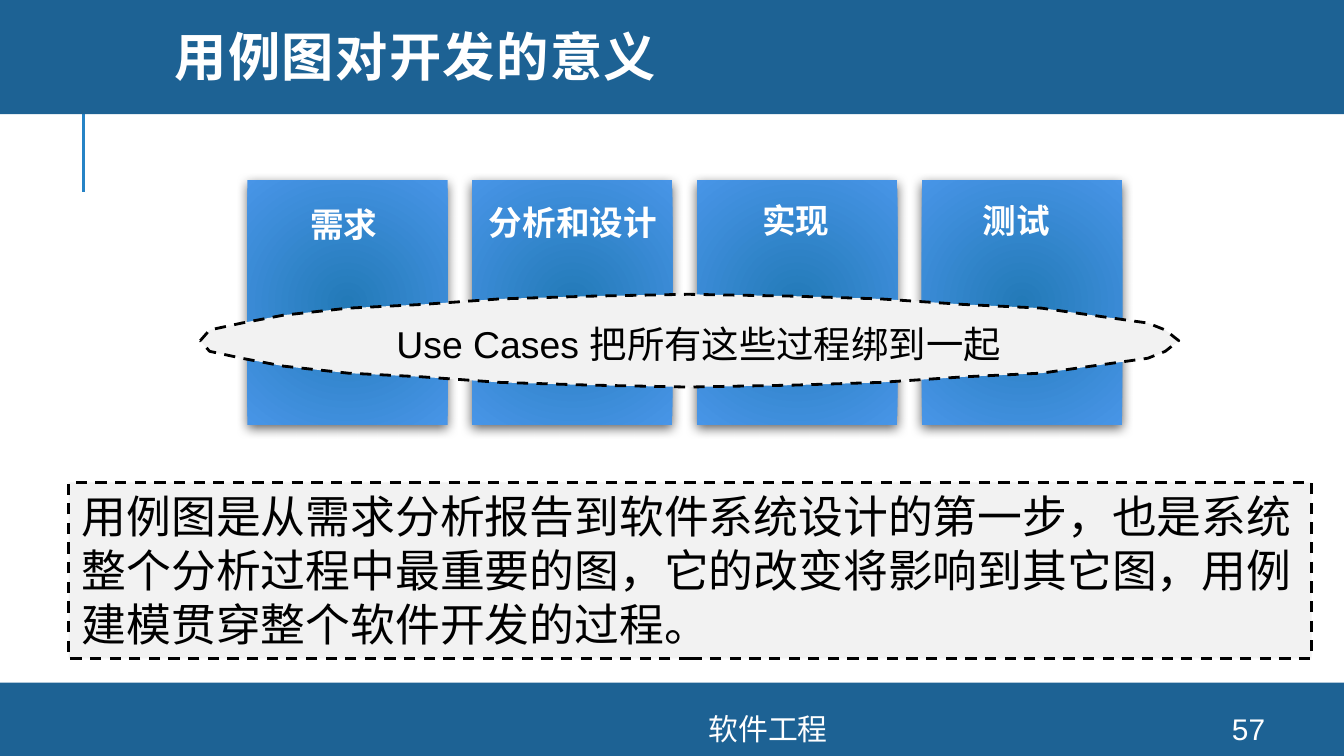
from dataclasses import dataclass

from lxml import etree
from pptx import Presentation
from pptx.dml.color import RGBColor
from pptx.enum.dml import MSO_LINE
from pptx.enum.shapes import MSO_CONNECTOR, MSO_SHAPE
from pptx.enum.text import MSO_ANCHOR, PP_ALIGN
from pptx.oxml.ns import qn
from pptx.util import Inches, Pt

RECTANGLE = MSO_SHAPE.RECTANGLE
STRAIGHT = MSO_CONNECTOR.STRAIGHT
DASH = MSO_LINE.DASH
LEFT, CENTER = PP_ALIGN.LEFT, PP_ALIGN.CENTER
TOP, MIDDLE = MSO_ANCHOR.TOP, MSO_ANCHOR.MIDDLE

NAVY = RGBColor(0x1D, 0x62, 0x94)
BLUE = RGBColor(0x26, 0x83, 0xC6)
CARD_CORE = RGBColor(0x23, 0x7A, 0xB8)
CARD_EDGE = RGBColor(0x48, 0x95, 0xE7)
GRAY = RGBColor(0xF2, 0xF2, 0xF2)
BLACK = RGBColor(0, 0, 0)
WHITE = RGBColor(0xFF, 0xFF, 0xFF)

# Label, shift and top as percent of its card
PHASES = [("需求", -1.7, 7.7), ("分析和设计", 0.3, 6.6),
          ("实现", -0.7, 6), ("测试", -3, 6)]
# Outline of the band: percent across, and percent of its half height
BAND_ACROSS = [0, 0.96, 4.26, 8.52, 15.11, 22.66, 30.63, 39.97, 49.86,
               60.58, 69.51, 78.02, 85.99, 91.07, 96.84, 98.63, 100]
BAND_RISE = [0, 23, 38, 55, 70, 78, 90, 96, 100]


@dataclass
class Box:
    left: float
    top: float
    width: float
    height: float

    def inner(self, x, y, width, height):
        """Return an inner box given in percent of this one."""
        return Box(self.left + self.width * x / 100,
                   self.top + self.height * y / 100,
                   self.width * width / 100, self.height * height / 100)

    def place(self):
        return [int(v) for v in (self.left, self.top, self.width, self.height)]


def write(shape, text, size=18, color=WHITE, bold=False, font="Arial",
          align=CENTER, anchor=TOP, inset=(0.1, 0.05), line=None, tracking=None):
    frame = shape.text_frame
    frame.word_wrap = True
    frame.vertical_anchor = anchor
    frame.margin_left = frame.margin_right = Inches(inset[0])
    frame.margin_top = frame.margin_bottom = Inches(inset[1])
    para = frame.paragraphs[0]
    para.alignment = align
    if line:
        para.line_spacing = line
    span = para.add_run()
    span.text = text
    span.font.size, span.font.bold, span.font.name = Pt(size), bold, font
    span.font.color.rgb = color
    if tracking:
        span.font._element.set("spc", str(int(tracking * 100)))


def add_text(page, box, text, **style):
    write(page.shapes.add_textbox(*box.place()), text, **style)


def add_block(page, box):
    block = page.shapes.add_shape(RECTANGLE, *box.place())
    block.shadow.inherit = False
    block.line.fill.background()
    return block


def paint(shape, color):
    shape.fill.solid()
    shape.fill.fore_color.rgb = color


def add_dashes(shape):
    paint(shape, GRAY)
    shape.line.color.rgb = BLACK
    shape.line.width = Pt(1.5)
    shape.line.dash_style = DASH


def style_card(card):
    """Radial gradient and a soft shadow below."""
    card.fill.gradient()
    for stop, color in zip(card.fill.gradient_stops, (CARD_CORE, CARD_EDGE)):
        stop.color.rgb = color
    properties = card._element.spPr
    gradient = properties.find(qn("a:gradFill"))
    gradient.remove(gradient.find(qn("a:lin")))
    circle = etree.SubElement(gradient, qn("a:path"), {"path": "circle"})
    etree.SubElement(circle, qn("a:fillToRect"),
                     {side: "100000" for side in "ltrb"})
    shadow = etree.SubElement(
        properties.find(qn("a:effectLst")), qn("a:outerShdw"),
        blurRad=str(Pt(6)), dist=str(Pt(2)), dir="5400000", rotWithShape="0")
    black = etree.SubElement(shadow, qn("a:srgbClr"), val=str(BLACK))
    etree.SubElement(black, qn("a:alpha"), val="60000")


def add_header(page, box):
    # Accent line hanging from the bar
    x = int(box.left + box.width * 0.062)
    accent = page.shapes.add_connector(
        STRAIGHT, x, int(box.height * 1.68), x, int(box.height * 0.8))
    accent.line.color.rgb = BLUE
    accent.line.width = Pt(1.5)
    etree.SubElement(accent._element.spPr, qn("a:effectLst"))
    # Bar and title
    paint(add_block(page, box), NAVY)
    add_text(page, box.inner(12, 0, 84.9, 107), "用例图对开发的意义", size=28,
             bold=True, font="Montserrat", align=LEFT, anchor=MIDDLE,
             line=0.8, tracking=0.8)


def add_footer(page, box):
    paint(add_block(page, box), NAVY)
    for text, x, width in (("软件工程", 26.1, 62.1), ("57", 88.9, 8)):
        add_text(page, box.inner(x, 42, width, 42), text, size=16, anchor=MIDDLE)


def add_phases(page, box):
    card_width = 22.89
    pitch = (100 - card_width) / (len(PHASES) - 1)
    for column, (label, shift, top) in enumerate(PHASES):
        card = box.inner(column * pitch, 0, card_width, 100)
        style_card(add_block(page, card))
        add_text(page, card.inner(shift - 8.7, top, 117.4, 20), label,
                 bold=True, inset=(0.07, 0.04))


def add_band(page, box):
    rises = BAND_RISE + BAND_RISE[-2::-1]
    upper = [(x, 50 - rise / 2) for x, rise in zip(BAND_ACROSS, rises)]
    lower = [(x, 100 - y) for x, y in upper[-2:0:-1]]
    spots = [box.inner(x, y, 0, 0) for x, y in upper + lower]
    points = [(int(spot.left), int(spot.top)) for spot in spots]
    builder = page.shapes.build_freeform(*points[0])
    builder.add_line_segments(points[1:], close=True)
    band = builder.convert_to_shape()
    band.shadow.inherit = False
    add_dashes(band)
    add_text(page, box.inner(12.5, 23.2, 76.9, 108.7),
             "Use Cases 把所有这些过程绑到一起", size=20, color=BLACK,
             inset=(0.07, 0.04))


def add_note(page, box):
    note = add_block(page, box)
    add_dashes(note)
    write(note, "用例图是从需求分析报告到软件系统设计的第一步，也是系统整个分析过程中"
          "最重要的图，它的改变将影响到其它图，用例建模贯穿整个软件开发的过程。",
          size=24, color=BLACK, align=LEFT)


def main():
    deck = Presentation()
    deck.slide_width = Inches(10)
    deck.slide_height = deck.slide_width * 9 // 16
    page = deck.slides.add_slide(deck.slide_layouts[6])
    whole = Box(0, 0, deck.slide_width, deck.slide_height)
    add_header(page, whole.inner(0, 0, 100, 15.11))
    add_footer(page, whole.inner(0, 90.31, 100, 9.69))
    add_phases(page, whole.inner(18.4, 23.82, 65.1, 32.36))
    add_band(page, whole.inner(14.9, 38.93, 72.8, 12.27))
    add_note(page, whole.inner(5.1, 63.82, 92.5, 23.29))
    deck.save("out.pptx")


if __name__ == "__main__":
    main()
